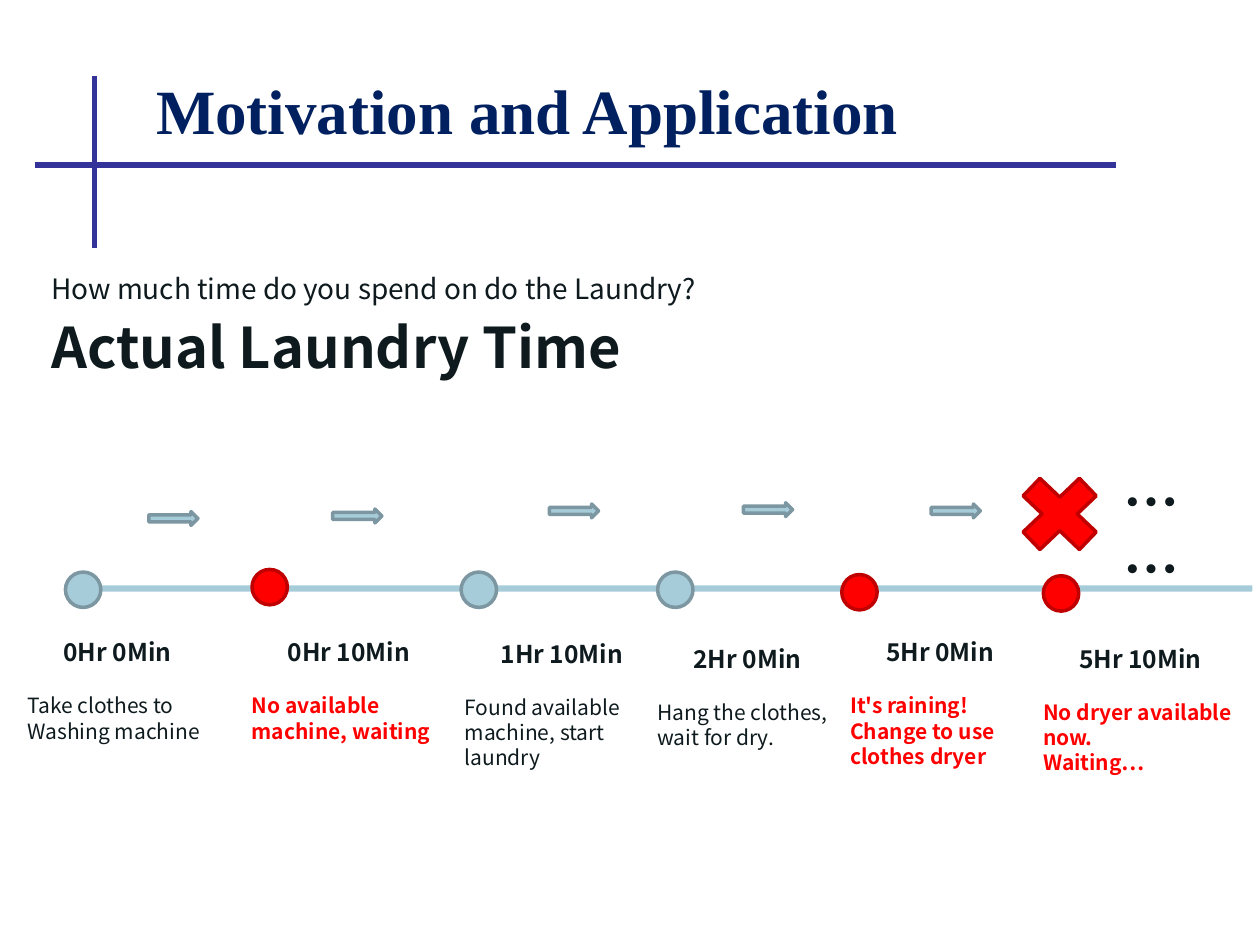
from lxml import etree
from pptx import Presentation
from pptx.dml.color import RGBColor
from pptx.enum.shapes import MSO_CONNECTOR, MSO_SHAPE
from pptx.enum.text import MSO_ANCHOR
from pptx.oxml.ns import qn
from pptx.util import Pt

LINE = MSO_CONNECTOR.STRAIGHT
CIRCLE, ARROW = MSO_SHAPE.OVAL, MSO_SHAPE.RIGHT_ARROW
CROSS, BAR = MSO_SHAPE.MATH_MULTIPLY, MSO_SHAPE.ROUNDED_RECTANGLE
TOP, MIDDLE = MSO_ANCHOR.TOP, MSO_ANCHOR.MIDDLE

NAVY = RGBColor(0x00, 0x20, 0x60)
INDIGO = RGBColor(0x33, 0x33, 0x99)
INK = RGBColor(0x0E, 0x1A, 0x1E)
BLUE = RGBColor(0xA7, 0xCC, 0xD9)
BLUE_EDGE = RGBColor(0x7C, 0x97, 0xA1)
RED = RGBColor(0xFF, 0x00, 0x00)
RED_EDGE = RGBColor(0xC0, 0x00, 0x00)
SANS, SERIF = "Noto Sans CJK TC", "Times New Roman"

# time, detail lines, is a delay, marker (left, top), text (left, top)
STAGES = [
    ("0Hr 0Min", ["Take clothes to", "Washing machine"], False,
     (37.4, 326.9), (8.6, 360.7)),
    ("0Hr 10Min", ["No available machine, waiting"], True,
     (144, 325.4), (136.8, 360.7)),
    ("1Hr 10Min", ["Found available machine, start laundry"], False,
     (263.5, 326.9), (258.5, 361.4)),
    ("2Hr 0Min", ["Hang the clothes, wait for dry."], False,
     (375.8, 326.9), (368.6, 364.3)),
    ("5Hr 0Min", ["It's raining!", "Change to use clothes dryer"], True,
     (481, 328.3), (478.8, 360.7)),
    ("5Hr 10Min", ["No dryer available now.", "Waiting…"], True,
     (596.2, 329), (589, 364.3)),
]
ARROWS = [(85, 292.3), (190.1, 290.9), (313.9, 288), (424.8, 287.3),
          (532.1, 288)]


def add_text(s, lines, x, y, w, h, size, color=INK, bold=False, font=SANS,
             anchor=TOP):
    tf = s.shapes.add_textbox(Pt(x), Pt(y), Pt(w), Pt(h)).text_frame
    tf.word_wrap = True
    tf.vertical_anchor = anchor
    for i, line in enumerate(lines):
        p = tf.add_paragraph() if i else tf.paragraphs[0]
        r = p.add_run()
        r.text = line
        r.font.size = Pt(size)
        r.font.bold = bold
        r.font.color.rgb = color
        r.font.name = font
        etree.SubElement(r.font._element, qn("a:ea"), typeface=font)


def add_rule(s, x1, y1, x2, y2):
    c = s.shapes.add_connector(LINE, Pt(x1), Pt(y1), Pt(x2), Pt(y2))
    c.line.color.rgb = INDIGO
    c.line.width = Pt(3)
    etree.SubElement(c._element.spPr, qn("a:effectLst"))


def add_figure(s, kind, x, y, w, h, fill=BLUE, edge=BLUE_EDGE):
    sp = s.shapes.add_shape(kind, Pt(x), Pt(y), Pt(w), Pt(h))
    sp.shadow.inherit = False
    sp.fill.solid()
    sp.fill.fore_color.rgb = fill
    if edge is None:
        sp.line.fill.background()
    else:
        sp.line.color.rgb = edge
        sp.line.width = Pt(2)


def add_stage(s, time, details, delayed, marker, text):
    fill, edge = (RED, RED_EDGE) if delayed else (BLUE, BLUE_EDGE)
    add_figure(s, CIRCLE, *marker, 20.2, 20.2, fill, edge)
    x, y = text
    add_text(s, [time], x + 20.5, y, 106.6, 24.5, 14, bold=True)
    add_text(s, details, x, y + 31.7, 126.7, 36, 12,
             color=RED if delayed else INK, bold=delayed)


def main():
    prs = Presentation()
    prs.slide_width, prs.slide_height = Pt(720), Pt(540)
    s = prs.slides.add_slide(prs.slide_layouts[6])

    add_rule(s, 19.8, 94.3, 637.9, 94.3)
    add_rule(s, 54, 43.2, 54, 141.8)
    add_text(s, ["Motivation and Application"], 82.1, 25.9, 583.9, 73.4, 36,
             color=NAVY, bold=True, font=SERIF, anchor=MIDDLE)
    add_text(s, ["How much time do you spend on do the Laundry?"],
             22.3, 151.9, 477.4, 26.6, 16)
    add_text(s, ["Actual Laundry Time"], 22.3, 175, 408.2, 46.1, 32, bold=True)

    add_figure(s, BAR, 43.2, 334.5, 672.5, 3.6, edge=None)
    for stage in STAGES:
        add_stage(s, *stage)
    for x, y in ARROWS:
        add_figure(s, ARROW, x, y, 28.1, 7.9)
    add_figure(s, CROSS, 574.6, 264.2, 61.9, 59, RED, RED_EDGE)
    add_text(s, ["……"], 635, 263.5, 76.3, 46.1, 32, bold=True)

    prs.save("out.pptx")


if __name__ == "__main__":
    main()
